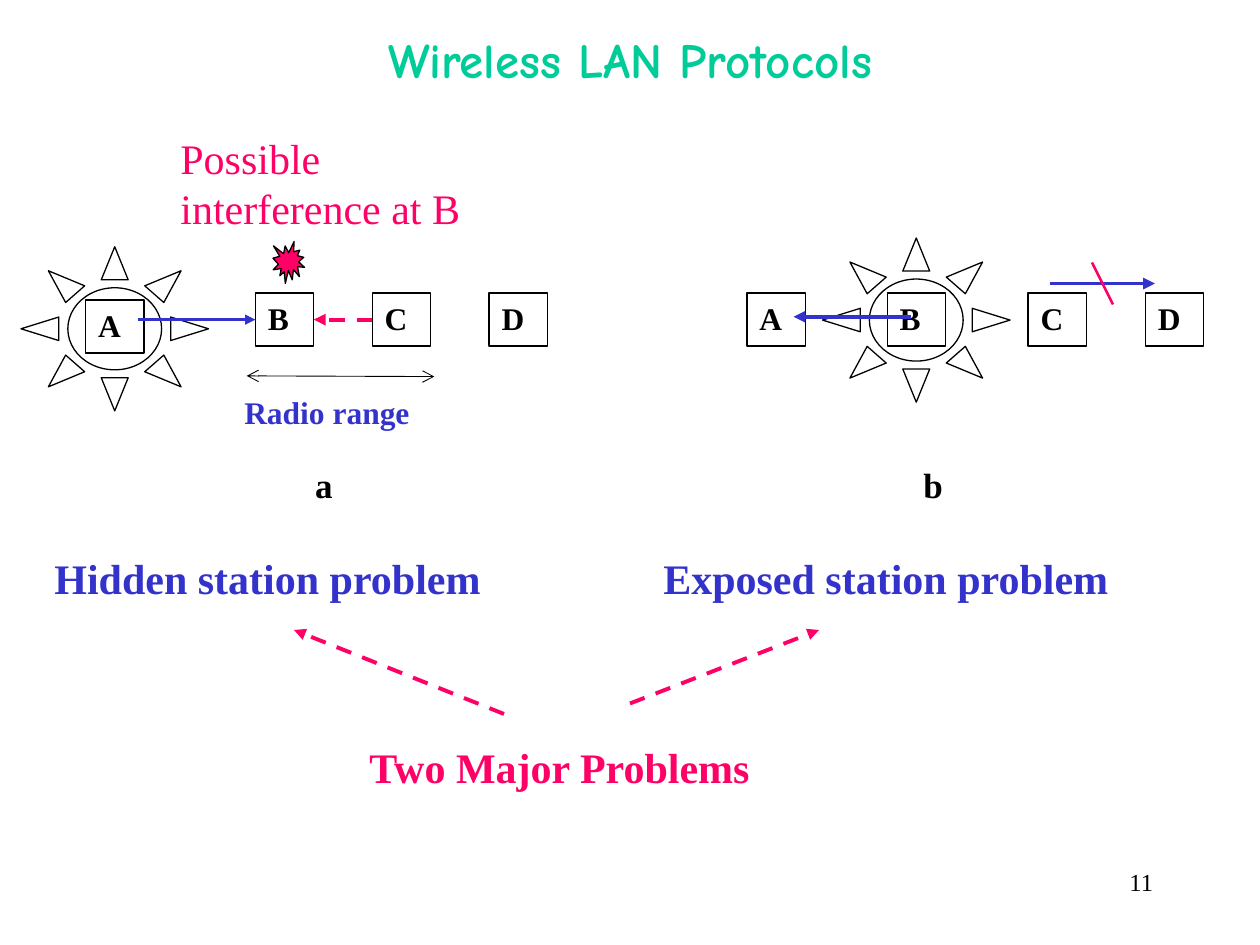
from lxml import etree
from pptx import Presentation
from pptx.dml.color import RGBColor
from pptx.enum import dml, shapes, text
from pptx.oxml import ns
from pptx.util import Pt

BLACK, WHITE, BLUE, PINK, GREEN = "000000", "FFFFFF", "3333CC", "FF0066", "00CC99"
SERIF, COMIC = "Times New Roman", "Comic Neue"
SHAPE = shapes.MSO_SHAPE

TITLE = "Wireless LAN Protocols"
STATION_SIZE = (33.3, 30.3)
# (diagram, station): (left, top)
STATIONS = {
    ("a", "A"): (49, 171.5), ("a", "B"): (146, 167.5),
    ("a", "C"): (212.7, 167.5), ("a", "D"): (279.5, 167.5),
    ("b", "A"): (426.8, 167.5), ("b", "B"): (507, 167.5),
    ("b", "C"): (587.5, 167.5), ("b", "D"): (654.5, 167.5),
}
SUN_SIZE = (107.2, 93.8)
SUNS = [(12, 141), (470, 136)]
# text, (left, top, width, height), format
LABELS = [
    ("Radio range", (132.5, 221, 120, 31), dict(size=18, color=BLUE)),
    ("a", (173, 261.5, 44.5, 36), dict(size=20)),
    ("b", (520.5, 261.5, 34.5, 34), dict(size=20)),
    ("Hidden station problem", (24, 312, 312, 36), dict(size=24, color=BLUE)),
    ("Exposed station problem", (372, 312, 294, 36), dict(size=24, color=BLUE)),
    ("Two Major Problems", (204, 420, 246, 36), dict(size=24, color=PINK)),
    ("Possible interference at B", (96, 72, 192, 65), dict(size=24, color=PINK, bold=False)),
    ("11", (516, 492, 150, 36), dict(size=14, bold=False, align=text.PP_ALIGN.RIGHT)),
]
# start, end, format
LINES = [
    ((141, 214.8), (248.2, 215.2), dict(color=BLACK, width=0.5, head="arrow", tail="arrow")),
    ((520.5, 181), (453.5, 181), dict(color=BLUE, tail="triangle")),
    ((288, 408), (168, 360), dict(color=PINK, dash=True, tail="triangle")),
    ((360, 402), (468, 360), dict(color=PINK, dash=True, tail="triangle")),
    ((600, 162), (660, 162), dict(color=BLUE, tail="triangle")),
    ((624, 150), (636, 174), dict(color=PINK, width=1.5)),
]
SEAL_BOX = (156, 138, 18, 24)


def rgb(value):
    return RGBColor.from_string(value)


def set_text(shape, words, size=18, color=BLACK, bold=True, font=SERIF,
             align=text.PP_ALIGN.LEFT, anchor=text.MSO_ANCHOR.TOP):
    frame = shape.text_frame
    frame.word_wrap = True
    frame.vertical_anchor = anchor
    paragraph = frame.paragraphs[0]
    paragraph.alignment = align
    run = paragraph.add_run()
    run.text = words
    run.font.size, run.font.bold, run.font.name = Pt(size), bold, font
    run.font.color.rgb = rgb(color)


def add_outlined(slide, preset, box, fill=None):
    """Add a preset shape with a thin black outline and an optional fill."""
    shape = slide.shapes.add_shape(preset, *map(Pt, box))
    shape.shadow.inherit = False
    if fill:
        shape.fill.solid()
        shape.fill.fore_color.rgb = rgb(fill)
    else:
        shape.fill.background()
    shape.line.color.rgb = rgb(BLACK)
    shape.line.width = Pt(0.75)
    return shape


def add_line(slide, start, end, color, width=2.25, dash=False, head=None, tail=None):
    line = slide.shapes.add_connector(shapes.MSO_CONNECTOR.STRAIGHT, *map(Pt, start + end))
    line.line.color.rgb = rgb(color)
    line.line.width = Pt(width)
    if dash:
        line.line.dash_style = dml.MSO_LINE.DASH
    properties = line.line._get_or_add_ln()
    for tag, arrow in (("a:headEnd", head), ("a:tailEnd", tail)):
        if arrow:
            etree.SubElement(properties, ns.qn(tag), type=arrow)
    etree.SubElement(line._element.spPr, ns.qn("a:effectLst"))
    return line


def main():
    presentation = Presentation()
    presentation.slide_width, presentation.slide_height = Pt(720), Pt(540)
    slide = presentation.slides.add_slide(presentation.slide_layouts[5])

    title = slide.shapes.title
    title.left, title.top, title.width, title.height = map(Pt, (54, 0, 612, 54))
    set_text(title, TITLE, size=28, color=GREEN, font=COMIC,
             align=text.PP_ALIGN.CENTER, anchor=text.MSO_ANCHOR.BOTTOM)

    stations = {}
    for (diagram, name), corner in STATIONS.items():
        station = add_outlined(slide, SHAPE.RECTANGLE, corner + STATION_SIZE, WHITE)
        set_text(station, name)
        stations[diagram, name] = station
    for corner in SUNS:
        add_outlined(slide, SHAPE.SUN, corner + SUN_SIZE)

    for words, box, style in LABELS:
        set_text(slide.shapes.add_textbox(*map(Pt, box)), words, **style)

    for start, end, style in LINES:
        add_line(slide, start, end, **style)

    receiver = stations["a", "B"]
    middle = STATIONS["a", "B"][1] + STATION_SIZE[1] / 2
    signal = add_line(slide, (79, middle), (146, middle), BLUE, width=1.5, tail="triangle")
    signal.end_connect(receiver, 1)
    interference = add_line(slide, (212, middle), (180, middle), PINK, dash=True, tail="triangle")
    interference.begin_connect(stations["a", "C"], 1)
    interference.end_connect(receiver, 3)

    add_outlined(slide, SHAPE.EXPLOSION1, SEAL_BOX, PINK)
    presentation.save("out.pptx")


if __name__ == "__main__":
    main()
